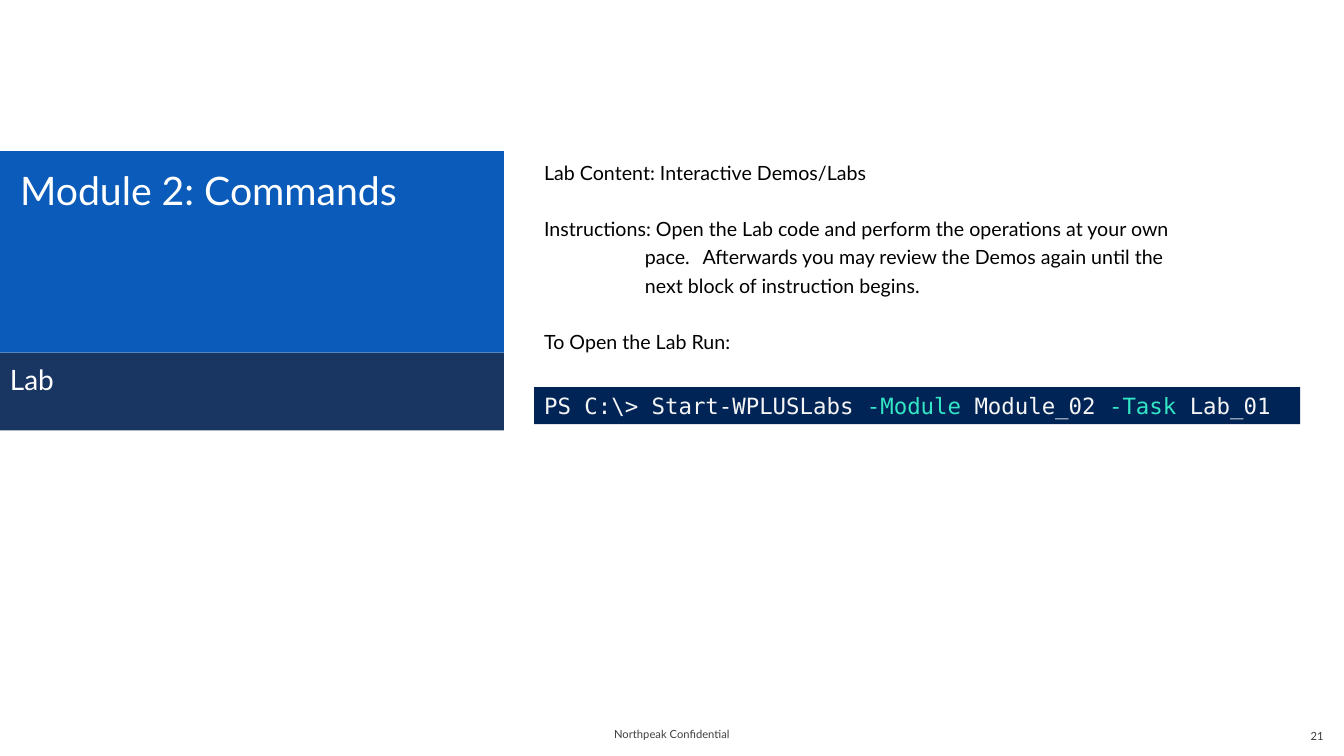
from pptx import Presentation
from pptx.dml.color import RGBColor
from pptx.enum.shapes import MSO_SHAPE
from pptx.enum.text import MSO_ANCHOR, PP_ALIGN
from pptx.util import Pt
from lxml import etree

RECT = MSO_SHAPE.RECTANGLE
TOP, MID = MSO_ANCHOR.TOP, MSO_ANCHOR.MIDDLE
LEFT, MID_X, RIGHT = PP_ALIGN.LEFT, PP_ALIGN.CENTER, PP_ALIGN.RIGHT

# Content: paragraphs are lists of (text, style) runs
TITLE = [[("Module 2: Commands", "title")]]
LABEL = [[("Lab", "label")]]
NOTES = [
    [("Lab Content: Interactive Demos/Labs", "body")],
    [("Instructions: Open the Lab code and perform the operations "
      "at your own pace.", "body"),
     (" ", "gap"),
     ("Afterwards you may review the Demos again until the next block "
      "of instruction begins.", "body")],
    [("To Open the Lab Run:", "body")],
]
CODE = [[("PS C:\\> Start-WPLUSLabs ", "code"), ("-Module ", "flag"),
         ("Module_02 ", "code"), ("-Task ", "flag"), ("Lab_01", "code")]]
FOOTER = [[("Northpeak Confidential", "foot")]]
NUMBER = [[("21", "foot")]]

# Theme: fills, and (font, size, colour, letter spacing) for each style
SANS, MONO = "Lato", "DejaVu Sans Mono"
THEME = {
    "fill": {"title": "0A5BBA", "label": "002050", "code": "012456"},
    "text": {
        "title": (SANS, 28, "FFFFFF", 0),
        "label": (SANS, 20, "FFFFFF", 0),
        "body": (SANS, 14, "000000", 0),
        "gap": (SANS, 14, "000000", 5.4),
        "code": (MONO, 16, "F5F5F5", 0),
        "flag": (MONO, 16, "33E6C5", 0),
        "foot": (SANS, 8, "3F3F3F", 0),
    },
}

# Layout
WIDE, HIGH = 960, 540
BAND, SIDE = 108, 360          # top of the content, width of the left panel
DEEP, STRIP = 144, 55.4        # heights of the title and label panels
COL = 381.6                    # left edge of the right column
FOOT_W, FOOT_H = 224, 28.8
FOOT_PAD = (14.4, 3.6, 14.4, 3.6)
PAD = (7.2, 3.6, 7.2, 3.6)

deck = Presentation()
deck.slide_width, deck.slide_height = Pt(WIDE), Pt(HIGH)
slide = deck.slides.add_slide(deck.slide_layouts[6])


def write(shape, paras, pad=PAD, align=LEFT, anchor=TOP):
    frame = shape.text_frame
    frame.word_wrap = True
    frame.vertical_anchor = anchor
    (frame.margin_left, frame.margin_top,
     frame.margin_right, frame.margin_bottom) = map(Pt, pad)
    for i, runs in enumerate(paras):
        para = frame.paragraphs[0] if i == 0 else frame.add_paragraph()
        para.alignment = align
        for text, style in runs:
            face, size, color, space = THEME["text"][style]
            run = para.add_run()
            run.text = text
            run.font.name, run.font.size = face, Pt(size)
            run.font.color.rgb = RGBColor.from_string(color)
            if space:
                run.font._element.set("spc", str(round(space * 100)))
    return frame


def panel(box, fill, paras, pad=PAD):
    shape = slide.shapes.add_shape(RECT, *map(Pt, box))
    shape.shadow.inherit = False
    shape.fill.solid()
    shape.fill.fore_color.rgb = RGBColor.from_string(THEME["fill"][fill])
    shape.line.fill.background()
    write(shape, paras, pad)
    return shape


def label(box, paras, **style):
    return write(slide.shapes.add_textbox(*map(Pt, box)), paras, **style)


# Footer
label(((WIDE - FOOT_W) / 2, 509.8, FOOT_W, FOOT_H), FOOTER,
      pad=FOOT_PAD, align=MID_X, anchor=MID)
label((WIDE - FOOT_W, 511.2, FOOT_W, FOOT_H), NUMBER,
      pad=FOOT_PAD, align=RIGHT, anchor=MID)

# Left panels, the lower one slightly see-through
panel((0, BAND, SIDE, DEEP), "title", TITLE, (14.4, 10.8, 7.2, 3.6))
strip = panel((0, BAND + DEEP, SIDE, STRIP), "label", LABEL,
              (7.2, 7.2, 7.2, 3.6))
tint = strip._element.spPr.find(".//{*}srgbClr")
space = etree.QName(tint).namespace
etree.SubElement(tint, f"{{{space}}}alpha", val="90000")

# Instructions, with a hanging indent on the middle paragraph
notes = label((COL, BAND, 471, 390), NOTES)
for i, para in enumerate(notes.paragraphs):
    para.line_spacing = 1.2
    para.space_before = Pt(20 if i else 0)
hang = notes.paragraphs[1]._p.get_or_add_pPr()
hang.set("marL", str(Pt(72)))
hang.set("indent", str(-Pt(72)))

# Command line
panel((COL, 276.5, 547.2, 26.6), "code", CODE)

deck.save("out.pptx")
